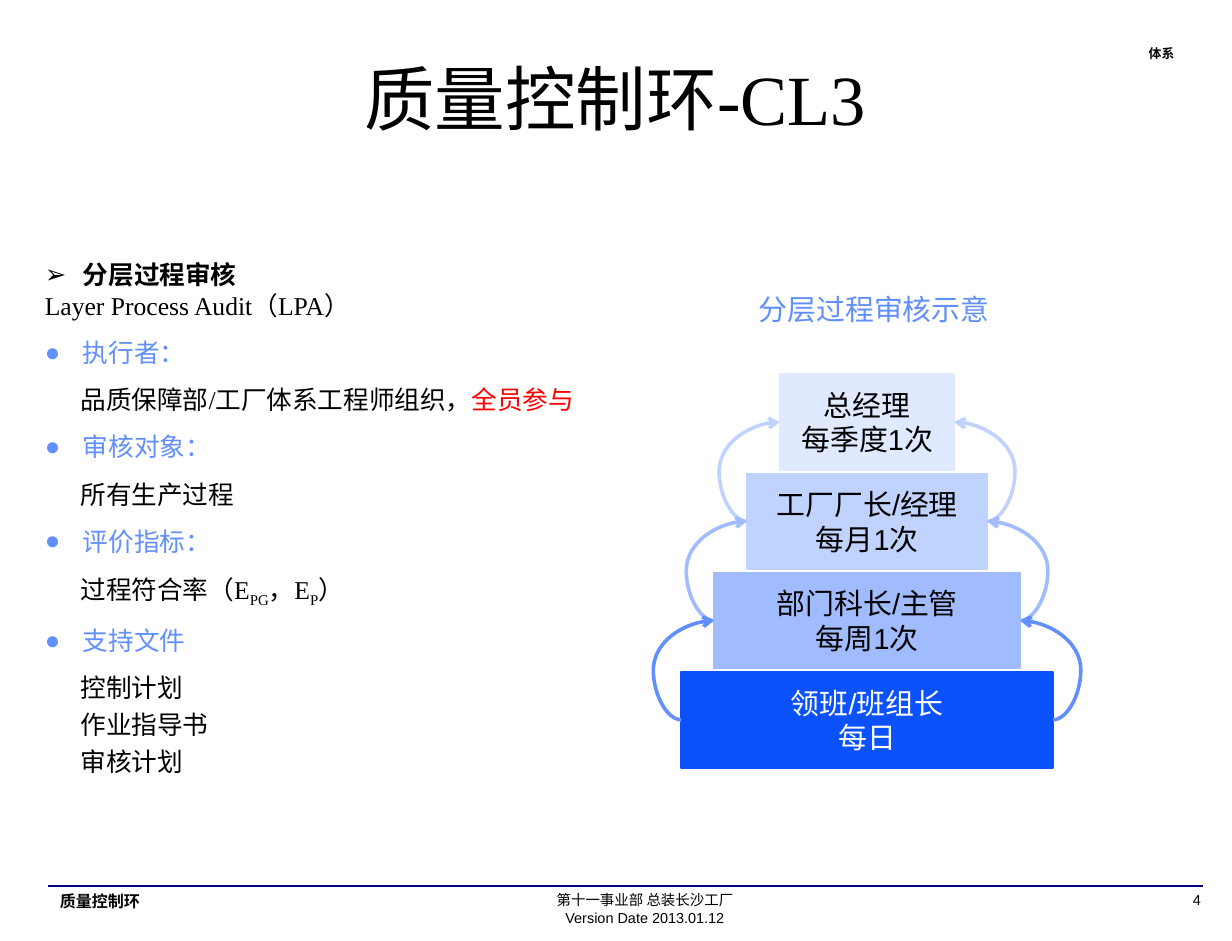
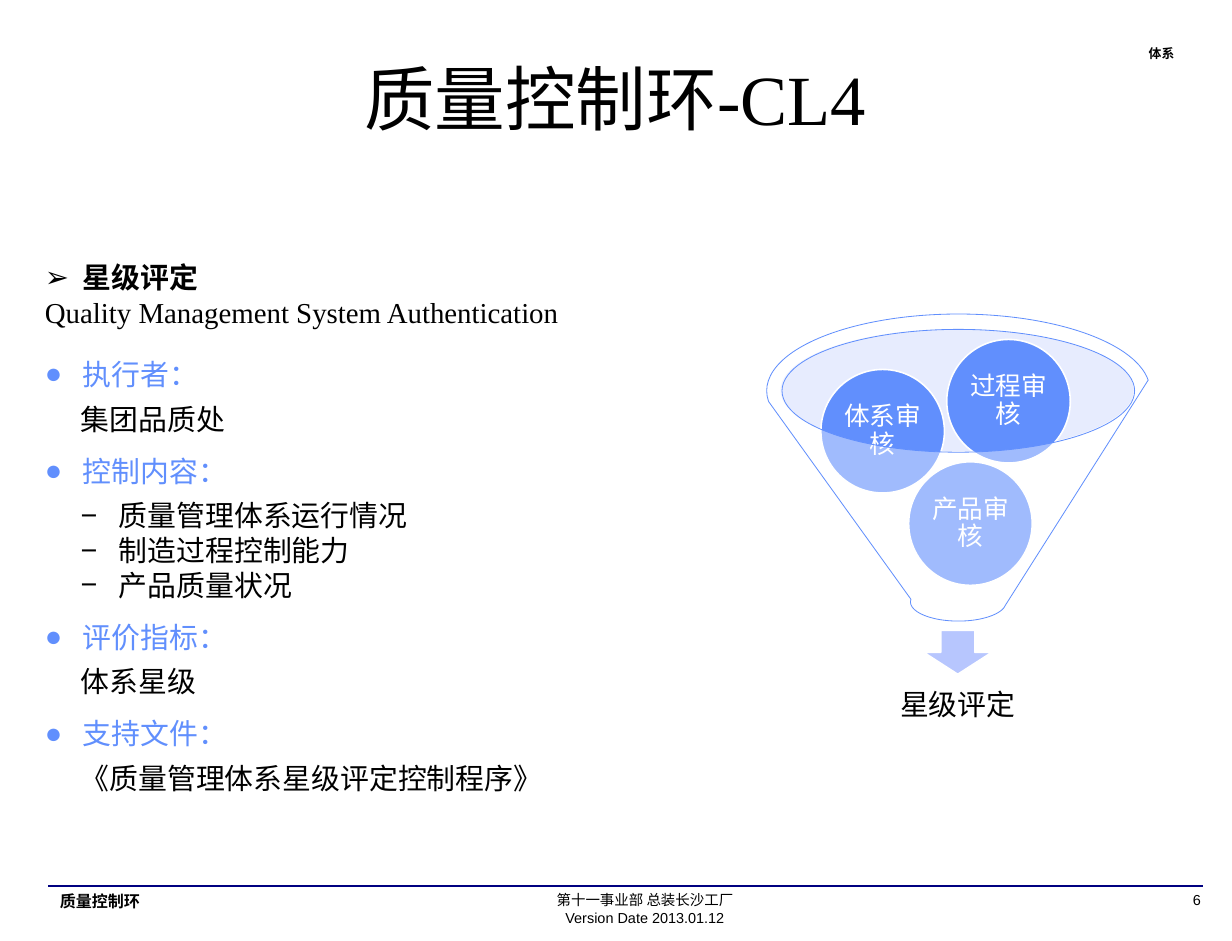
from lxml import etree
from pptx import Presentation
from pptx.dml.color import RGBColor
from pptx.enum.shapes import MSO_CONNECTOR, MSO_SHAPE
from pptx.enum.text import MSO_ANCHOR, PP_ALIGN
from pptx.oxml.ns import qn
from pptx.util import Inches, Pt

LEFT, CENTER, RIGHT = PP_ALIGN.LEFT, PP_ALIGN.CENTER, PP_ALIGN.RIGHT
TOP, MIDDLE = MSO_ANCHOR.TOP, MSO_ANCHOR.MIDDLE
STRAIGHT, CURVE = MSO_CONNECTOR.STRAIGHT, MSO_CONNECTOR.CURVE
RECT, OVAL = MSO_SHAPE.RECTANGLE, MSO_SHAPE.OVAL
FUNNEL, DOWN_ARROW = MSO_SHAPE.FUNNEL, MSO_SHAPE.DOWN_ARROW

rgb = RGBColor.from_string
BLACK, WHITE, RED, NAVY = "000000", "FFFFFF", "FF0000", "000080"
BLUE, SOFT, PALE = "618FFD", "A0BCFE", "C0D2FE"
SANS, SERIF = "Arial", "Times New Roman"

# Paragraph styles: left margin, first-line indent, line spacing,
# points before, points after, bullet, colour, bold
STYLES = {
    "plain": (0, 0, 1, 0, 0, None, None, False),
    "strong": (0, 0, 1, 0, 0, None, None, True),
    "snug": (0, 0, 0.9, 0, 0, None, None, False),
    "lead": (0, 0, 1, 0, 6.4, None, None, False),
    "heading": (0.33, -0.33, 1.2, 6.4, 0, "➢", None, True),
    "label": (0.33, -0.33, 1.2, 6.4, 6.4, "●", BLUE, False),
    "text": (0.31, 0, 1.2, 0, 0, None, None, False),
    "tight": (0.31, 0, 1, 0, 0, None, None, False),
    "dash": (0.64, -0.33, 1, 0, 0, "−", None, False),
}


def write(sp, paras, size, font=SANS, color=BLACK, align=LEFT, anchor=TOP, inset=None):
    """Fill a shape with (style, runs); a run is (text, colour, baseline)."""
    tf = sp.text_frame
    tf.word_wrap = True
    tf.vertical_anchor = anchor
    if inset is not None:
        tf.margin_left = tf.margin_right = Inches(inset)
        tf.margin_top = tf.margin_bottom = Inches(inset)
    for i, (style, runs) in enumerate(paras):
        margin, indent, spacing, before, after, bullet, tint, bold = STYLES[style]
        p = tf.add_paragraph() if i else tf.paragraphs[0]
        p.alignment = align
        p.line_spacing = spacing
        p.space_before, p.space_after = Pt(before), Pt(after)
        pPr = p._p.get_or_add_pPr()
        pPr.set("marL", str(Inches(margin)))
        pPr.set("indent", str(Inches(indent)))
        if bullet:
            etree.SubElement(pPr, qn("a:buFont")).set("typeface", SANS)
            etree.SubElement(pPr, qn("a:buChar")).set("char", bullet)
        if isinstance(runs, str):
            runs = [(runs, None, 0)]
        for text, run_color, baseline in runs:
            r = p.add_run()
            r.text = text
            r.font.name, r.font.size, r.font.bold = font, Pt(size), bold
            r.font.color.rgb = rgb(run_color or tint or color)
            rPr = r._r.get_or_add_rPr()
            rPr.set("lang", "zh-CN")
            if baseline:
                rPr.set("baseline", str(baseline * 1000))


def paint(sp, line, width=1, fill=None, alpha=None):
    """Set line and fill and remove the shadow; connectors have no fill."""
    if line:
        sp.line.color.rgb = rgb(line)
        sp.line.width = Pt(width)
    else:
        sp.line.fill.background()
    spPr = sp._element.spPr
    if fill is None:
        etree.SubElement(spPr, qn("a:effectLst"))
        return
    sp.shadow.inherit = False
    sp.fill.solid()
    sp.fill.fore_color.rgb = rgb(fill)
    if alpha:
        clr = spPr.find(qn("a:solidFill"))[0]
        etree.SubElement(clr, qn("a:alpha")).set("val", str(alpha * 1000))


prs = Presentation()
prs.slide_width, prs.slide_height = Inches(10.67), Inches(8.15)

# Content of the two slides
pages = [
    {
        "title": "质量控制环-CL3", "number": "4", "size": 16, "width": 4.79,
        "body": [
            ("heading", "分层过程审核"),
            ("plain", "Layer Process Audit（LPA）"),
            ("label", "执行者："),
            ("text", [("品质保障部/工厂体系工程师组织，", None, 0), ("全员参与", RED, 0)]),
            ("label", "审核对象："),
            ("text", "所有生产过程"),
            ("label", "评价指标："),
            ("text", [("过程符合率（E", None, 0), ("PG", None, -25), ("，E", None, 0),
                      ("P", None, -25), ("）", None, 0)]),
            ("label", "支持文件"),
            ("text", "控制计划"),
            ("text", "作业指导书"),
            ("text", "审核计划"),
        ],
    },
    {
        "title": "质量控制环-CL4", "number": "6", "size": 18, "width": 6.13,
        "body": [
            ("heading", "星级评定"),
            ("lead", "Quality Management System Authentication"),
            ("label", "执行者："),
            ("tight", "集团品质处"),
            ("label", "控制内容："),
            ("dash", "质量管理体系运行情况"),
            ("dash", "制造过程控制能力"),
            ("dash", "产品质量状况"),
            ("label", "评价指标："),
            ("tight", "体系星级"),
            ("label", "支持文件："),
            ("tight", "《质量管理体系星级评定控制程序》"),
        ],
    },
]

# Shared parts: title, header mark, footer and body text
slides = []
for page in pages:
    s = prs.slides.add_slide(prs.slide_layouts[6])
    slides.append(s)
    footer = [("plain", "第十一事业部 总装长沙工厂"), ("plain", "Version Date 2013.01.12")]
    blocks = [
        ((0.73, 0.43, 9.2, 1.57), [("plain", page["title"])], 44, SERIF, CENTER),
        ((9.6, 0.35, 0.67, 0.23), [("strong", "体系")], 8, SANS, RIGHT),
        ((0.42, 7.67, 2.08, 0.4), [("strong", "质量控制环")], 10, SANS, LEFT),
        ((4, 7.67, 3.17, 0.4), footer, 9, SANS, CENTER),
        ((10.11, 7.67, 0.39, 0.25), [("plain", page["number"])], 9, SANS, RIGHT),
        ((0.29, 2.14, page["width"], 4.89), page["body"], page["size"], SERIF, LEFT),
    ]
    for at, paras, size, font, align in blocks:
        tb = s.shapes.add_textbox(*[Inches(v) for v in at])
        write(tb, paras, size, font, align=align)
    rule = s.shapes.add_connector(STRAIGHT, Inches(0.42), Inches(7.67), Inches(10.42), Inches(7.67))
    paint(rule, NAVY, 1.25)

audit, rating = slides

# Audit pyramid: each level is wider than the one above
tb = audit.shapes.add_textbox(Inches(6.27), Inches(2.48), Inches(2.6), Inches(0.4))
write(tb, [("plain", "分层过程审核示意")], 18, SERIF, BLUE, CENTER)

levels = [
    ("总经理", "每季度1次", "DFE9FF", BLACK),
    ("工厂厂长/经理", "每月1次", PALE, BLACK),
    ("部门科长/主管", "每周1次", SOFT, BLACK),
    ("领班/班组长", "每日", "0B52FC", WHITE),
]
AXIS, LEVEL_TOP, LEVEL_H, PITCH = 7.51, 3.24, 0.83, 0.86
NARROW, WIDEN = 1.51, 0.57
for i, (role, period, fill, color) in enumerate(levels):
    w = NARROW + WIDEN * i
    sp = audit.shapes.add_shape(RECT, Inches(AXIS - w / 2), Inches(LEVEL_TOP + PITCH * i),
                                Inches(w), Inches(LEVEL_H))
    paint(sp, fill, fill=fill)
    write(sp, [("plain", role), ("plain", period)], 18, color=color, align=CENTER, anchor=MIDDLE)

# Curved arrows from each level up to the next, on both sides
for i, color in enumerate([PALE, SOFT, BLUE]):
    half = (NARROW + WIDEN * i) / 2
    y = LEVEL_TOP + PITCH * i + LEVEL_H / 2
    for side in (-1, 1):
        arc = audit.shapes.add_connector(
            CURVE, Inches(AXIS + side * (half + WIDEN / 2)), Inches(y + PITCH),
            Inches(AXIS + side * half), Inches(y))
        paint(arc, color, 2.25)
        etree.SubElement(arc.line._get_or_add_ln(), qn("a:tailEnd")).set("type", "arrow")
        geom = arc._element.spPr.find(qn("a:prstGeom"))
        guide = etree.SubElement(geom.find(qn("a:avLst")), qn("a:gd"))
        guide.set("name", "adj1")
        guide.set("fmla", "val -84700")

# Rating funnel: mouth, outlet arrow, three audits, then the glass in front
mouth = rating.shapes.add_shape(OVAL, Inches(6.76), Inches(2.85), Inches(3.06), Inches(1.06))
paint(mouth, None, fill="C5D1FE", alpha=40)
outlet = rating.shapes.add_shape(DOWN_ARROW, Inches(8), Inches(5.46), Inches(0.59), Inches(0.38))
paint(outlet, WHITE, fill="B7C6FE")
tb = rating.shapes.add_textbox(Inches(6.87), Inches(5.76), Inches(2.85), Inches(0.71))
write(tb, [("snug", "星级评定")], 18, align=CENTER, anchor=MIDDLE, inset=0.14)

for x, y, text in [(7.87, 4, "产品审核"), (7.11, 3.2, "体系审核"), (8.2, 2.94, "过程审核")]:
    ball = rating.shapes.add_shape(OVAL, Inches(x), Inches(y), Inches(1.07), Inches(1.07))
    paint(ball, WHITE, fill=BLUE)
    write(ball, [("snug", text)], 16, color=WHITE, align=CENTER, anchor=MIDDLE, inset=0.02)

glass = rating.shapes.add_shape(FUNNEL, Inches(6.64), Inches(2.72), Inches(3.32), Inches(2.66))
paint(glass, BLUE, 0.5, WHITE, 40)

prs.save("out.pptx")
